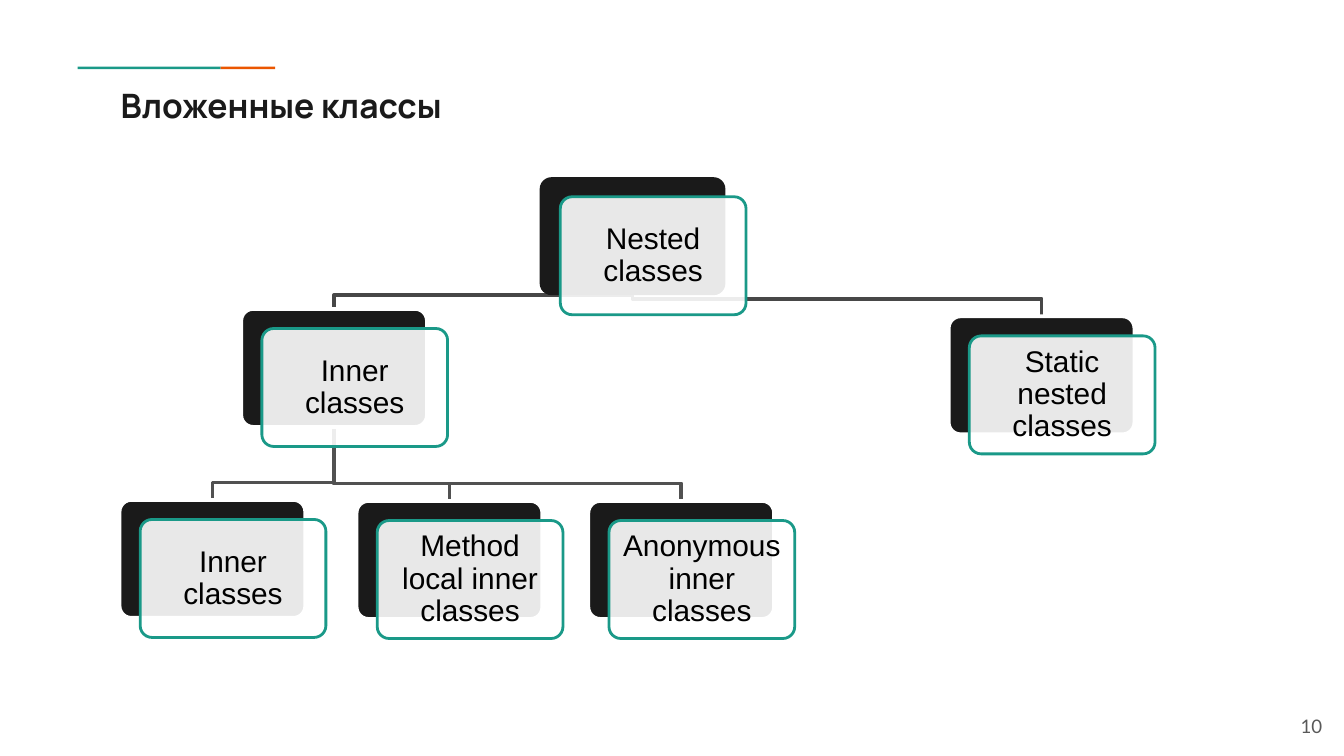
from lxml.etree import SubElement
from pptx import Presentation
from pptx.dml.color import RGBColor
from pptx.enum.shapes import MSO_SHAPE as Preset
from pptx.enum.text import MSO_ANCHOR as Anchor, PP_ALIGN as Align
from pptx.oxml.ns import qn
from pptx.util import Cm, Pt

INK = RGBColor(0x1A, 0x1A, 0x1A)
TEAL = RGBColor(0x1A, 0x99, 0x88)
ORANGE = RGBColor(0xEB, 0x56, 0x00)
WHITE = RGBColor(0xFF, 0xFF, 0xFF)
BLACK = RGBColor(0, 0, 0)
GREY = RGBColor(0x59, 0x59, 0x59)
UPPER_LINK = RGBColor(0x47, 0x47, 0x47)
LOWER_LINK = RGBColor(0x51, 0x51, 0x51)

# All lengths are in centimetres.
TITLE = "Вложенные классы"
PAGE_NUMBER = "10"
ACCENTS = [(1.47, 2.7, TEAL), (4.17, 1.03, ORANGE)]  # left, width, colour

# key: (text, left, top) of the dark back card
CLASSES = {
    "nested": ("Nested classes", 10.2, 3.35),
    "inner": ("Inner classes", 4.56, 5.84),
    "plain inner": ("Inner classes", 2.26, 9.45),
    "method local": ("Method local inner classes", 6.74, 9.47),
    "anonymous": ("Anonymous inner classes", 11.12, 9.47),
    "static": ("Static nested classes", 17.93, 5.98),
}
LINKS = [
    ("nested", "static", UPPER_LINK),
    ("inner", "anonymous", LOWER_LINK),
    ("inner", "method local", LOWER_LINK),
    ("inner", "plain inner", LOWER_LINK),
    ("nested", "inner", UPPER_LINK),
]
CARD_W, CARD_H = 3.51, 2.23
FRONT_DX, FRONT_DY = 0.39, 0.37
CARD_INSET = 0.12  # the rounded corners add to this
ELBOW_RISE = 0.33  # from a child's top up to the horizontal run

TITLE_FONT = {"name": "Manrope", "size": Pt(18), "bold": True}
CARD_FONT = {"name": "Arial", "size": Pt(16)}
PAGE_FONT = {"name": "Lato", "size": Pt(10)}

prs = Presentation()
prs.slide_width, prs.slide_height = Cm(25.4), Cm(14.29)
slide = prs.slides.add_slide(prs.slide_layouts[6])
shapes = slide.shapes


def write(shape, text, font, colour, align, anchor, inset):
    frame = shape.text_frame
    frame.word_wrap = True
    frame.vertical_anchor = anchor
    for side in ("left", "right", "top", "bottom"):
        setattr(frame, f"margin_{side}", Cm(inset))
    paragraph = frame.paragraphs[0]
    paragraph.alignment = align
    run = paragraph.add_run()
    run.text = text
    for attribute, value in font.items():
        setattr(run.font, attribute, value)
    run.font.color.rgb = colour
    return paragraph


def add_box(preset, left, top, width, height, fill, line=None, line_width=0):
    box = shapes.add_shape(preset, Cm(left), Cm(top), Cm(width), Cm(height))
    box.shadow.inherit = False
    box.fill.solid()
    box.fill.fore_color.rgb = fill
    if line is None:
        box.line.fill.background()
    else:
        box.line.color.rgb = line
        box.line.width = Pt(line_width)
    return box


def add_card(text, left, top, back_line):
    """Dark card with a translucent white card, carrying the text, in front."""
    back = add_box(Preset.ROUNDED_RECTANGLE, left, top, CARD_W, CARD_H,
                   INK, back_line, 2)
    front = add_box(Preset.ROUNDED_RECTANGLE, left + FRONT_DX, top + FRONT_DY,
                    CARD_W, CARD_H, WHITE, TEAL, 1.5)
    for card in (back, front):
        card.adjustments[0] = 0.1
    colour = front.fill._xPr.find(qn("a:solidFill"))[0]
    SubElement(colour, qn("a:alpha"), val="90000")
    paragraph = write(front, text, CARD_FONT, BLACK, Align.CENTER,
                      Anchor.MIDDLE, CARD_INSET)
    paragraph.line_spacing = 0.9


def add_link(parent, child, colour):
    """Elbow line from the parent's bottom centre to the child's top centre."""
    _, parent_left, parent_top = CLASSES[parent]
    _, child_left, child_top = CLASSES[child]
    start_x, end_x = parent_left + CARD_W / 2, child_left + CARD_W / 2
    start_y = parent_top + CARD_H
    elbow_y = max(start_y, child_top - ELBOW_RISE)
    corners = [(start_x, elbow_y), (end_x, elbow_y), (end_x, child_top)]
    builder = shapes.build_freeform(Cm(start_x), Cm(start_y))
    builder.add_line_segments([(Cm(x), Cm(y)) for x, y in corners], close=False)
    link = builder.convert_to_shape()
    link.shadow.inherit = False
    link.fill.background()
    link.line.color.rgb = colour
    link.line.width = Pt(2)


for left, width, colour in ACCENTS:
    add_box(Preset.RECTANGLE, left, 1.26, width, 0.05, colour)

title = shapes.add_textbox(Cm(2.03), Cm(1.35), Cm(21.36), Cm(1.27))
write(title, TITLE, TITLE_FONT, INK, Align.LEFT, Anchor.TOP, 0.25)

for parent, child, colour in LINKS:
    add_link(parent, child, colour)
for key, (text, left, top) in CLASSES.items():
    add_card(text, left, top, None if key == "nested" else WHITE)

page = shapes.add_textbox(Cm(23.72), Cm(13.18), Cm(1.52), Cm(1.09))
write(page, PAGE_NUMBER, PAGE_FONT, GREY, Align.RIGHT, Anchor.MIDDLE, 0.25)

prs.save("out.pptx")
